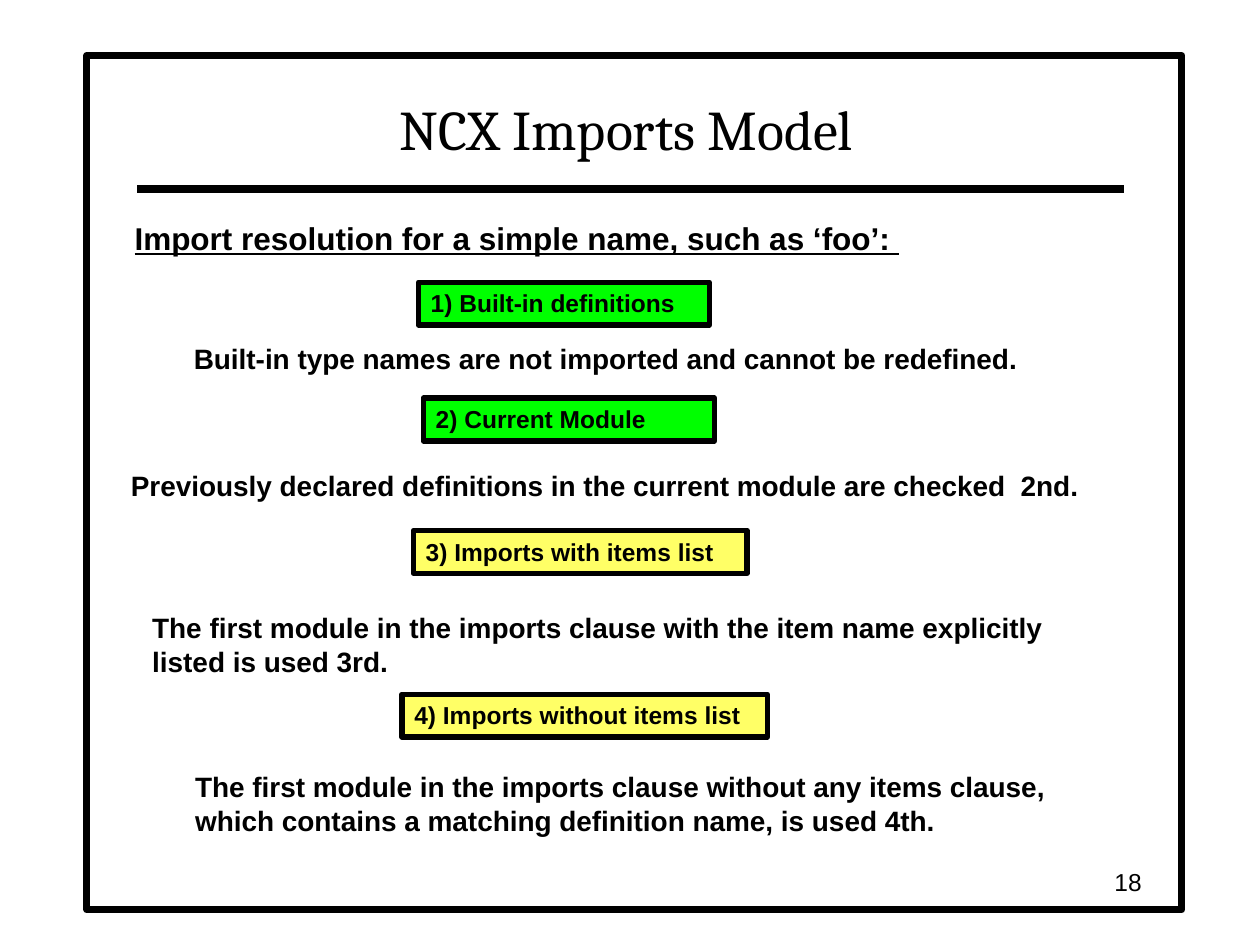
import pptx
import pptx.util
import pptx.dml.color
import pptx.enum.shapes
import pptx.enum.text
import pptx.oxml.ns
from lxml import etree
from pptx.util import Inches

BLACK = pptx.dml.color.RGBColor(0x00, 0x00, 0x00)
WHITE = pptx.dml.color.RGBColor(0xFF, 0xFF, 0xFF)
GREEN = pptx.dml.color.RGBColor(0x00, 0xFF, 0x00)
YELLOW = pptx.dml.color.RGBColor(0xFF, 0xFF, 0x66)
ALIGN = pptx.enum.text.PP_ALIGN
ANCHOR = pptx.enum.text.MSO_ANCHOR
RECTANGLE = pptx.enum.shapes.MSO_SHAPE.RECTANGLE


def write_text(shape, text, size=16, font="Arial", bold=True, underline=None,
               align=ALIGN.LEFT, anchor=ANCHOR.TOP, wrap=True):
    frame = shape.text_frame
    frame.word_wrap = wrap
    frame.vertical_anchor = anchor
    paragraph = frame.paragraphs[0]
    paragraph.text = text
    paragraph.alignment = align
    for run in paragraph.runs:
        run.font.name = font
        run.font.size = pptx.util.Pt(size)
        run.font.bold = bold
        run.font.underline = underline
        run.font.color.rgb = BLACK


def add_box(left, top, width, height, fill, line_width):
    box = slide.shapes.add_shape(RECTANGLE, Inches(left), Inches(top), Inches(width), Inches(height))
    box.shadow.inherit = False
    box.fill.solid()
    box.fill.fore_color.rgb = fill
    box.line.color.rgb = BLACK
    box.line.width = pptx.util.Pt(line_width)
    return box


presentation = pptx.Presentation()
presentation.slide_width = Inches(10)
presentation.slide_height = Inches(7.5)
slide = presentation.slides.add_slide(presentation.slide_layouts[5])
slide.background.fill.solid()
slide.background.fill.fore_color.rgb = WHITE

# Title
title = slide.shapes.title
title.left, title.top = Inches(1.08), Inches(0.58)
title.width, title.height = Inches(7.79), Inches(0.75)
write_text(title, "NCX Imports Model", size=32, font="Cambria", bold=False,
           align=ALIGN.CENTER, anchor=ANCHOR.BOTTOM)

# Page frame, behind the title
page_frame = add_box(0.69, 0.44, 8.69, 6.78, WHITE, 4)
title.element.addprevious(page_frame.element)

# Rule under the title
rule = slide.shapes.add_connector(pptx.enum.shapes.MSO_CONNECTOR.STRAIGHT,
                                  Inches(1.09), Inches(1.5), Inches(8.92), Inches(1.5))
rule.line.color.rgb = BLACK
rule.line.width = pptx.util.Pt(4.5)
etree.SubElement(rule.element.spPr, pptx.oxml.ns.qn("a:effectLst"))

# Heading
heading = slide.shapes.add_textbox(Inches(0.97), Inches(1.69), Inches(6.27), Inches(0.4))
write_text(heading, "Import resolution for a simple name, such as ‘foo’: ", size=18,
           underline=True, wrap=False)

# Resolution steps: label, fill, left, top, width
steps = [
    ("1) Built-in definitions", GREEN, 3.32, 2.24, 2.31),
    ("2) Current Module", GREEN, 3.36, 3.16, 2.31),
    ("3) Imports with items list", YELLOW, 3.28, 4.21, 2.65),
    ("4) Imports without items list", YELLOW, 3.19, 5.51, 2.9),
]
for label, fill, left, top, width in steps:
    write_text(add_box(left, top, width, 0.34, fill, 3), label, size=14)

# Explanations: text, left, top, width, height
explanations = [
    ("Built-in type names are not imported and cannot be redefined.", 1.44, 2.66, 6.74, 0.37),
    ("Previously declared definitions in the current module are checked  2nd.",
     0.94, 3.67, 7.79, 0.37),
    ("The first module in the imports clause with the item name explicitly \n"
     "listed is used 3rd.", 1.11, 4.8, 7.33, 0.64),
    ("The first module in the imports clause without any items clause,\n"
     "which contains a matching definition name, is used 4th.", 1.45, 6.06, 6.95, 0.64),
]
for text, left, top, width, height in explanations:
    explanation = slide.shapes.add_textbox(Inches(left), Inches(top), Inches(width), Inches(height))
    write_text(explanation, text, wrap=False)

# Page number
page_number = slide.shapes.add_textbox(Inches(7.08), Inches(6.83), Inches(2.08), Inches(0.33))
write_text(page_number, "18", size=14, bold=False, align=ALIGN.RIGHT, anchor=ANCHOR.MIDDLE)

presentation.save("out.pptx")
